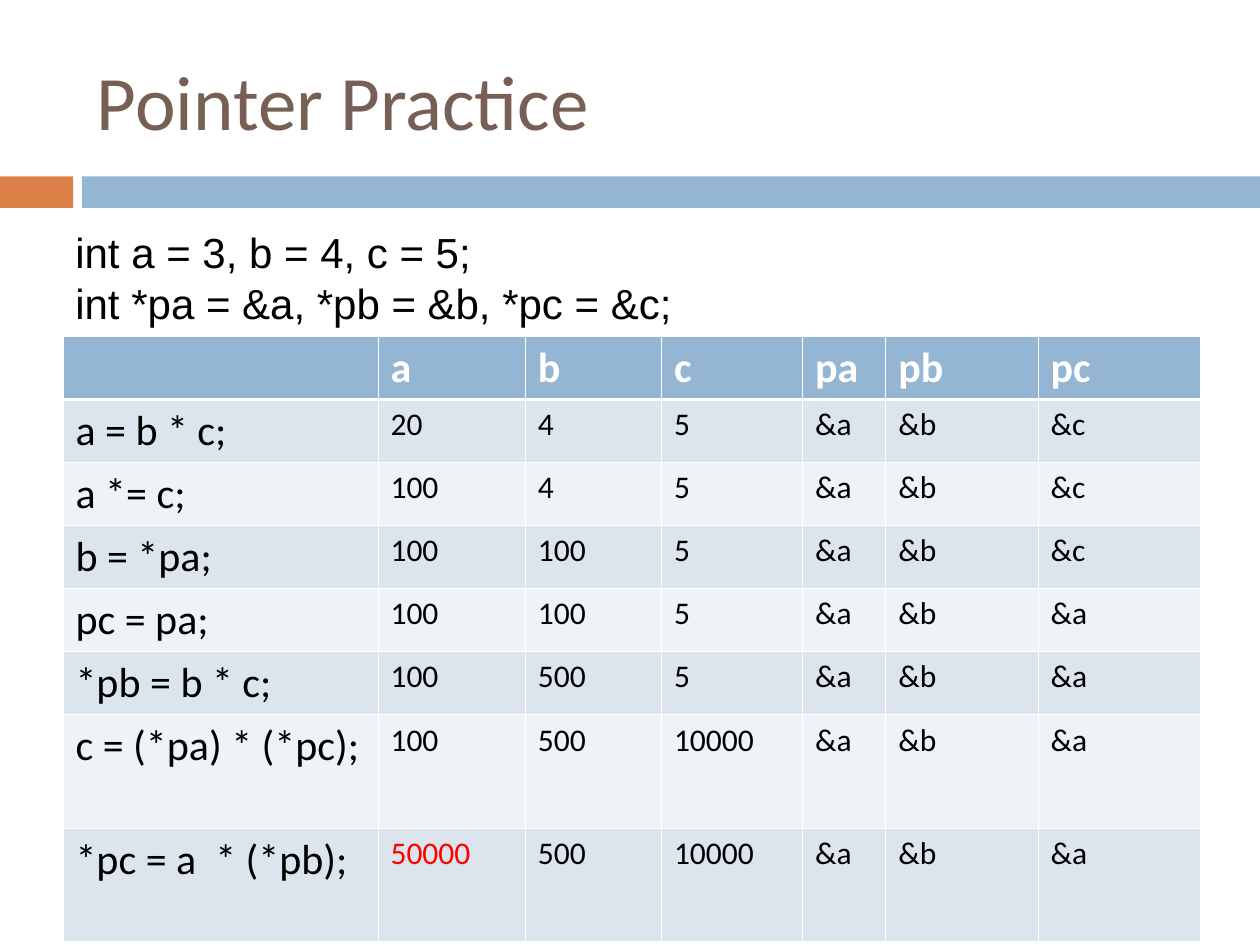
from lxml import etree
from pptx import Presentation
from pptx.dml.color import RGBColor
from pptx.enum.shapes import MSO_SHAPE
from pptx.enum.text import MSO_ANCHOR
from pptx.oxml.ns import qn
from pptx.util import Inches, Pt

RECTANGLE = MSO_SHAPE.RECTANGLE
MIDDLE = MSO_ANCHOR.MIDDLE

COLORS = {
    "accent": "DD8047",
    "band": "94B6D2",
    "title": "775F55",
    "odd_row": "DCE5EE",
    "even_row": "EFF3F7",
    "text": "000000",
    "white": "FFFFFF",
    "highlight": "FF0000",
}

GRID_COLUMNS, GRID_ROWS = 40, 30
SLIDE_WIDTH, SLIDE_HEIGHT = Inches(10), Inches(7.5)

TITLE_BOX = (2.68, 1, 35.68, 4.32)
BAND_BOX = (0, 5.6, 40, 1)
CODE_BOX = (2, 7, 36, 3.6)
TRACE_BOX = (2, 10.68, 36.12, 16)

DECLARATIONS = ["int a = 3, b = 4, c = 5;", "int *pa = &a, *pb = &b, *pc = &c;"]
TRACE = [
    ["", "a", "b", "c", "pa", "pb", "pc"],
    ["a = b * c;", "20", "4", "5", "&a", "&b", "&c"],
    ["a *= c;", "100", "4", "5", "&a", "&b", "&c"],
    ["b = *pa;", "100", "100", "5", "&a", "&b", "&c"],
    ["pc = pa;", "100", "100", "5", "&a", "&b", "&a"],
    ["*pb = b * c;", "100", "500", "5", "&a", "&b", "&a"],
    ["c = (*pa) * (*pc);", "100", "500", "10000", "&a", "&b", "&a"],
    ["*pc = a  * (*pb);", "50000", "500", "10000", "&a", "&b", "&a"],
]
TRACE_COLUMNS = [10, 4.68, 4.32, 4.48, 2.64, 4.84, 5.16]
TRACE_ROWS = [2] * 6 + [3.6] * 2
HIGHLIGHTED = (7, 1)
THIN_RULE, HEADER_RULE = 0.45, 1.47


def across(columns):
    return round(SLIDE_WIDTH * columns / GRID_COLUMNS)


def down(rows):
    return round(SLIDE_HEIGHT * rows / GRID_ROWS)


def place(box):
    left, top, width, height = box
    return across(left), down(top), across(width), down(height)


def rgb(name):
    return RGBColor.from_string(COLORS[name])


def style(paragraph, size, color, face="Calibri", bold=False):
    font = paragraph.font
    font.name, font.size, font.bold = face, Pt(size), bold
    font.color.rgb = rgb(color)


def add_lines(slide, box, lines, size, color, face, anchor=None):
    frame = slide.shapes.add_textbox(*place(box)).text_frame
    frame.word_wrap = True
    if anchor is not None:
        frame.vertical_anchor = anchor
    frame.text = "\n".join(lines)
    for paragraph in frame.paragraphs:
        style(paragraph, size, color, face)


def add_band(slide, box):
    left, top, width, height = box
    accent_width, band_start = 2.32, 2.6
    for start, length, color in (
        (left, accent_width, "accent"),
        (left + band_start, width - band_start, "band"),
    ):
        bar = slide.shapes.add_shape(RECTANGLE, *place((start, top, length, height)))
        bar.shadow.inherit = False
        bar.fill.solid()
        bar.fill.fore_color.rgb = rgb(color)
        bar.line.fill.background()


def add_borders(cell, row):
    widths = {
        "a:lnL": THIN_RULE,
        "a:lnR": THIN_RULE,
        "a:lnT": HEADER_RULE if row == 1 else THIN_RULE,
        "a:lnB": HEADER_RULE if row == 0 else THIN_RULE,
    }
    properties = cell._tc.get_or_add_tcPr()
    for side, width in widths.items():
        rule = etree.SubElement(properties, qn(side), w=str(Pt(width)))
        fill = etree.SubElement(rule, qn("a:solidFill"))
        etree.SubElement(fill, qn("a:srgbClr"), val=COLORS["white"])


def fill_cell(cell, row, column, value):
    add_borders(cell, row)
    header = row == 0
    stripe = "odd_row" if row % 2 else "even_row"
    cell.fill.solid()
    cell.fill.fore_color.rgb = rgb("band" if header else stripe)
    cell.text = value
    color = "white" if header else "text"
    if (row, column) == HIGHLIGHTED:
        color = "highlight"
    size = 24 if header or column == 0 else 18
    style(cell.text_frame.paragraphs[0], size, color, bold=header)


def add_trace(slide, box):
    table = slide.shapes.add_table(len(TRACE), len(TRACE[0]), *place(box)).table
    for column, width in zip(table.columns, TRACE_COLUMNS):
        column.width = across(width)
    for row, height in zip(table.rows, TRACE_ROWS):
        row.height = down(height)
    for row, values in enumerate(TRACE):
        for column, value in enumerate(values):
            fill_cell(table.cell(row, column), row, column, value)


def main():
    deck = Presentation()
    deck.slide_width, deck.slide_height = SLIDE_WIDTH, SLIDE_HEIGHT
    slide = deck.slides.add_slide(deck.slide_layouts[6])
    add_band(slide, BAND_BOX)
    add_lines(slide, TITLE_BOX, ["Pointer Practice"], 44, "title", "Calibri", MIDDLE)
    add_trace(slide, TRACE_BOX)
    add_lines(slide, CODE_BOX, DECLARATIONS, 24, "text", "Arial")
    deck.save("out.pptx")


if __name__ == "__main__":
    main()
